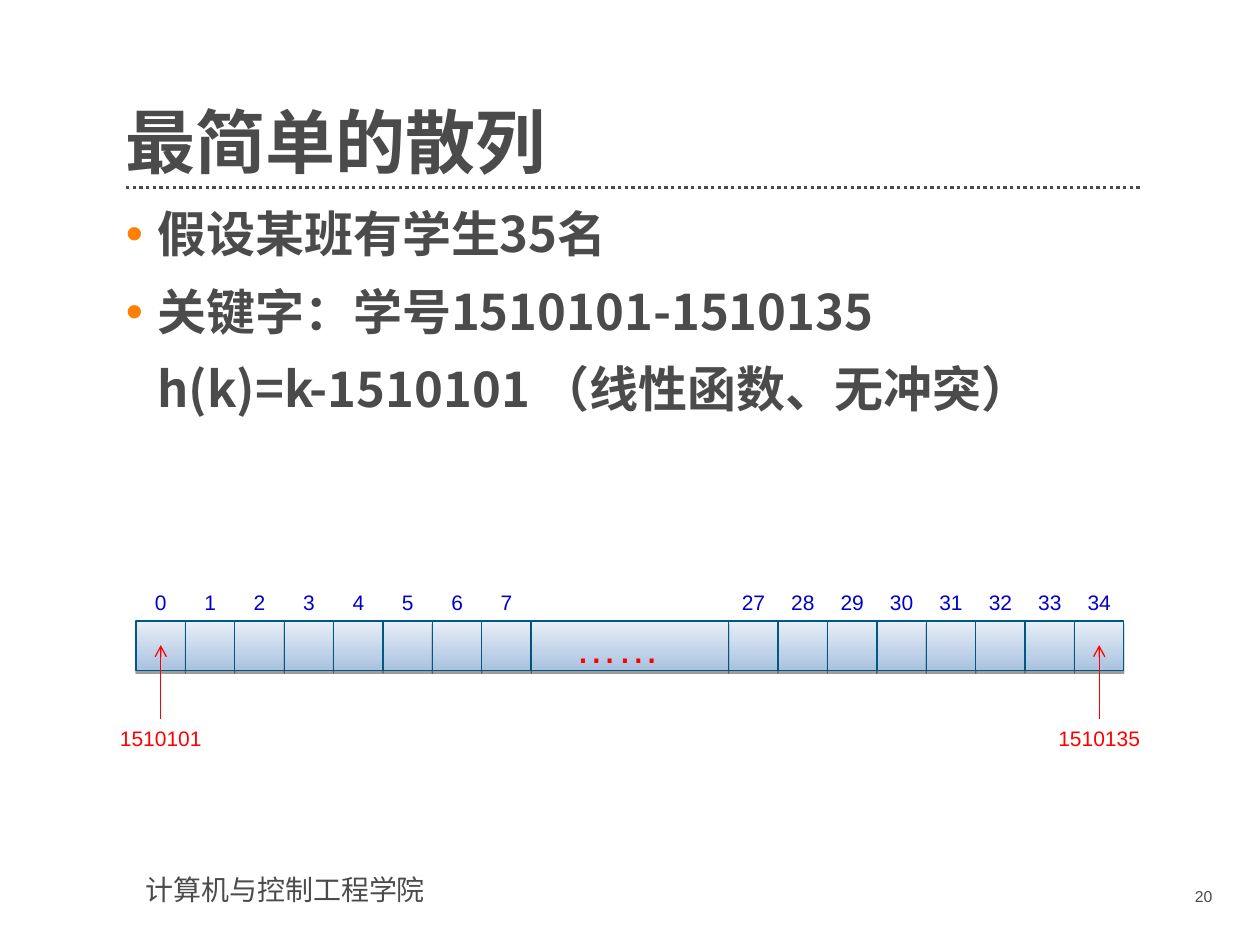
"""Build a slide that explains the simplest hash with a linear bucket row."""
from dataclasses import dataclass, field

from lxml import etree
from pptx import Presentation
from pptx import util as u
from pptx.dml.color import RGBColor
from pptx.enum import dml, shapes, text
from pptx.oxml import ns

COLORS = {
    "ink": "4B4B4B",
    "bullet": "FF8000",
    "index": "0000CC",
    "key": "FF0000",
    "cell_bottom": "A9C2E0",
    "cell_top": "E8EFF7",
    "cell_line": "005984",
    "shadow": "000000",
}
ARIAL, NOTO = "Arial", "Noto Sans CJK SC"
PADDED = (0.1, 0.05, 0.1, 0.05)
BODY_INSETS = (0, 0, 0.2, 0)
ROW_LEFT, ROW_TOP, ROW_WIDTH, SLOTS = 1.08, 4.93, 7.84, 20
CELL = ROW_WIDTH / SLOTS
INDEX_HEIGHT = 0.3
KEY_TOP, KEY_WIDTH, ARROW_TIP = 5.71, 1.18, 5.12


@dataclass
class Style:
    """Format values shared by the paragraphs of one text frame."""

    size: float
    color: str
    name: str = ARIAL
    bold: bool = False
    insets: tuple = PADDED
    frame: dict = field(default_factory=lambda: {"word_wrap": True})
    paragraph: dict = field(default_factory=dict)


@dataclass
class Bucket:
    """One cell of the hash table with its slot, index and key."""

    slot: int
    index: int
    key: str = ""

    @property
    def left(self) -> float:
        return ROW_LEFT + self.slot * CELL

    @property
    def center(self) -> float:
        return self.left + CELL / 2


CENTERED = {"alignment": text.PP_ALIGN.CENTER}
NO_WRAP = {"word_wrap": False}
TITLE = Style(40, "ink", NOTO, True, (0, 0, 0, 0),
              {"word_wrap": True, "vertical_anchor": text.MSO_ANCHOR.BOTTOM},
              {"line_spacing": 0.9})
BODY = Style(28, "ink", NOTO, True, BODY_INSETS,
             paragraph={"line_spacing": 0.9, "space_before": u.Pt(14)})
FOOTER = Style(16, "ink", frame=NO_WRAP)
NUMBER = Style(9, "ink", paragraph={"alignment": text.PP_ALIGN.RIGHT})
INDEX = Style(12, "index", frame=NO_WRAP, paragraph=CENTERED)
KEY = Style(12, "key", frame=NO_WRAP, paragraph=CENTERED)
GAP = Style(24, "key", insets=BODY_INSETS,
            frame={"word_wrap": True, "vertical_anchor": text.MSO_ANCHOR.TOP},
            paragraph={**CENTERED, "space_before": u.Pt(15)})

BUCKETS = [Bucket(index, index) for index in range(8)]
BUCKETS += [Bucket(slot, slot + 15) for slot in range(12, SLOTS)]
BUCKETS[0].key, BUCKETS[-1].key = "1510101", "1510135"


def rgb(color: str) -> RGBColor:
    """Return the named colour."""
    return RGBColor.from_string(COLORS[color])


def set_all(target, values: dict) -> None:
    """Set every attribute in values on target."""
    for name, value in values.items():
        setattr(target, name, value)


def add_child(parent, tag: str, **attributes):
    """Append a DrawingML element to parent."""
    return etree.SubElement(parent, ns.qn(f"a:{tag}"), attributes)


def write(shape, lines: list[str], style: Style) -> list:
    """Write styled lines into a shape and return its paragraphs."""
    frame = shape.text_frame
    set_all(frame, style.frame)
    sides = ("margin_left", "margin_top", "margin_right", "margin_bottom")
    set_all(frame, {side: u.Inches(inset) for side, inset in zip(sides, style.insets)})
    for number, line in enumerate(lines):
        paragraph = frame.add_paragraph() if number else frame.paragraphs[0]
        set_all(paragraph, style.paragraph)
        run = paragraph.add_run()
        run.text = line
        set_all(run.font, {"size": u.Pt(style.size), "bold": style.bold, "name": style.name})
        run.font.color.rgb = rgb(style.color)
        add_child(run.font._element, "ea", typeface=style.name)
    return list(frame.paragraphs)


def add_text(slide, box: tuple, lines: list[str], style: Style) -> list:
    """Add a text box and return its paragraphs."""
    return write(slide.shapes.add_textbox(*map(u.Inches, box)), lines, style)


def indent(paragraph, bulleted: bool) -> None:
    """Indent a body paragraph, with a hanging bullet if asked."""
    properties = paragraph._p.get_or_add_pPr()
    properties.set("marL", str(u.Inches(0.25)))
    properties.set("indent", str(u.Inches(-0.25 if bulleted else 0)))
    if bulleted:
        add_child(add_child(properties, "buClr"), "srgbClr", val=COLORS["bullet"])
        add_child(properties, "buFont", typeface=ARIAL)
        add_child(properties, "buChar", char="•")


def add_line(slide, start: tuple, end: tuple, color: str, width: float):
    """Add a straight line without a shadow."""
    connector = slide.shapes.add_connector(
        shapes.MSO_CONNECTOR.STRAIGHT, *map(u.Inches, start + end))
    connector.line.color.rgb = rgb(color)
    connector.line.width = u.Pt(width)
    add_child(connector._element.spPr, "effectLst")
    return connector


def add_cell(slide, left: float, width: float):
    """Add a shaded table cell with a hard shadow below it."""
    shape = slide.shapes.add_shape(
        shapes.MSO_SHAPE.RECTANGLE, *map(u.Inches, (left, ROW_TOP, width, CELL)))
    shape.fill.gradient()
    shape.fill.gradient_angle = 90
    for stop, color in zip(shape.fill.gradient_stops, ("cell_bottom", "cell_top")):
        stop.color.rgb = rgb(color)
    shape.line.color.rgb = rgb("cell_line")
    shape.line.width = u.Pt(0.75)
    effects = add_child(shape._element.spPr, "effectLst")
    shadow = add_child(effects, "outerShdw", blurRad="0", dist=str(u.Pt(1.6)),
                       dir="5400000", rotWithShape="0")
    tint = add_child(shadow, "srgbClr", val=COLORS["shadow"])
    add_child(tint, "alpha", val="38000")
    return shape


def add_key(slide, bucket: Bucket) -> None:
    """Point from a key to its bucket."""
    arrow = add_line(slide, (bucket.center, KEY_TOP), (bucket.center, ARROW_TIP), "key", 0.75)
    add_child(arrow.line._get_or_add_ln(), "tailEnd", type="arrow")
    box = (bucket.center - KEY_WIDTH / 2, KEY_TOP, KEY_WIDTH, INDEX_HEIGHT)
    add_text(slide, box, [bucket.key], KEY)


def main() -> None:
    """Build and save the slide."""
    presentation = Presentation()
    set_all(presentation, {"slide_width": u.Inches(10), "slide_height": u.Inches(7.5)})
    slide = presentation.slides.add_slide(presentation.slide_layouts[6])

    rule = add_line(slide, (1, 1.49), (9.06, 1.49), "ink", 1.9)
    rule.line.dash_style = dml.MSO_LINE.ROUND_DOT
    add_text(slide, (1.06, 6.88, 2.56, 0.37), ["计算机与控制工程学院"], FOOTER)
    add_text(slide, (1, 0.55, 8.06, 0.91), ["最简单的散列"], TITLE)
    body = ["假设某班有学生35名", "关键字：学号1510101-1510135",
            "h(k)=k-1510101 （线性函数、无冲突）"]
    paragraphs = add_text(slide, (1, 1.67, 8.06, 5), body, BODY)
    for paragraph, bulleted in zip(paragraphs, (True, True, False)):
        indent(paragraph, bulleted)
    add_text(slide, (8.73, 6.99, 0.99, 0.29), ["20"], NUMBER)

    for bucket in BUCKETS:
        add_cell(slide, bucket.left, CELL)
    write(add_cell(slide, ROW_LEFT + 8 * CELL, 4 * CELL), ["……"], GAP)
    for bucket in BUCKETS:
        box = (bucket.left, ROW_TOP - INDEX_HEIGHT, CELL, INDEX_HEIGHT)
        add_text(slide, box, [str(bucket.index)], INDEX)
    for bucket in filter(lambda item: item.key, BUCKETS):
        add_key(slide, bucket)

    presentation.save("out.pptx")


if __name__ == "__main__":
    main()
